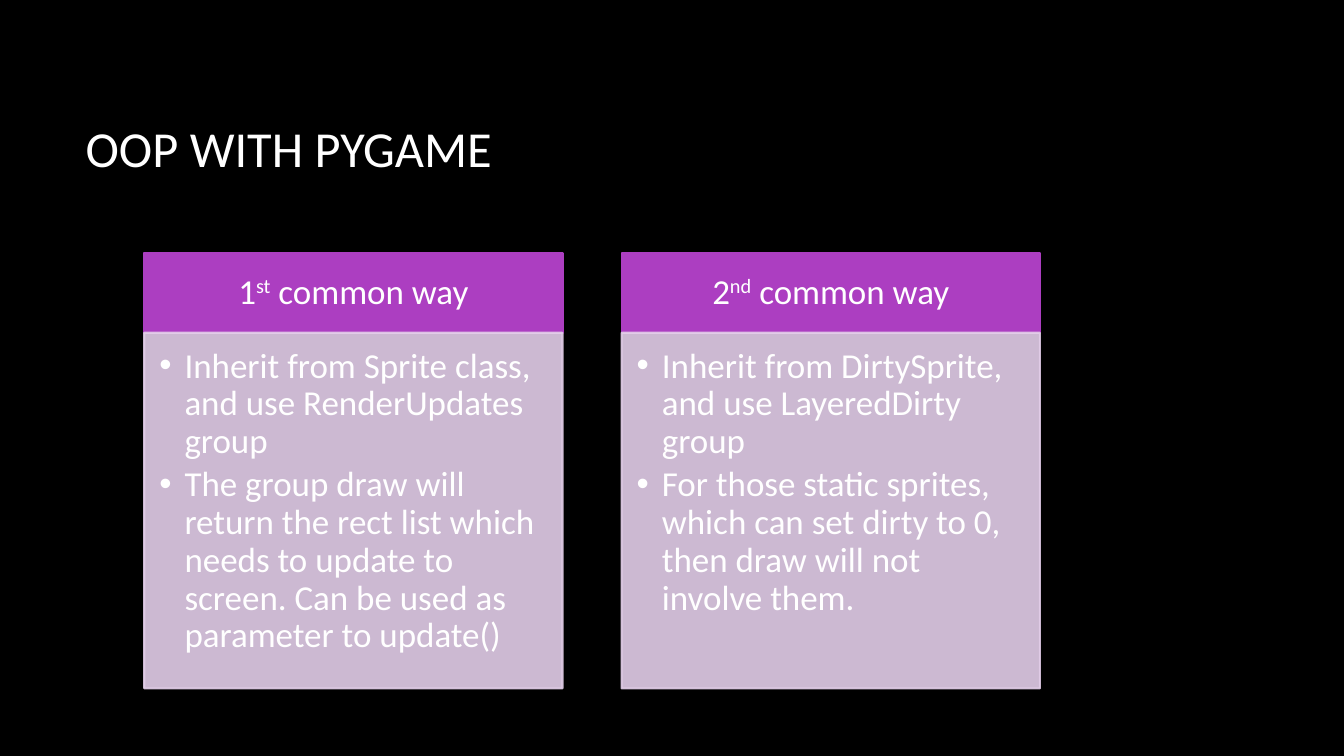
from lxml import etree
from pptx import Presentation
from pptx.dml.color import RGBColor
from pptx.enum import shapes, text
from pptx.oxml.ns import qn
from pptx.util import Pt

TITLE = "OOP WITH PYGAME"
WAYS = [
    (("1", "st", " common way"), [
        "Inherit from Sprite class, and use RenderUpdates group",
        "The group draw will return the rect list which needs to update to "
        "screen. Can be used as parameter to update()",
    ]),
    (("2", "nd", " common way"), [
        "Inherit from DirtySprite, and use LayeredDirty group",
        "For those static sprites, which can set dirty to 0, then draw will "
        "not involve them.",
    ]),
]
COLORS = {"back": "000000", "text": "FFFFFF", "head": "AC3EC1", "body": "E3CEE9"}
FONT = "Calibri"

# Layout in points
LEFT, TOP, WIDTH, STEP = 103, 180.7, 298.8, 341
HEAD_H, BODY_H = 57, 254
INDENT = 18


def color(name):
    return RGBColor.from_string(COLORS[name])


def style(para, size):
    para.font.size = Pt(size)
    para.font.name = FONT
    para.font.color.rgb = color("text")


def inset(frame, left, top, right, bottom):
    frame.margin_left, frame.margin_top = Pt(left), Pt(top)
    frame.margin_right, frame.margin_bottom = Pt(right), Pt(bottom)
    frame.word_wrap = True


def add_box(slide, x, y, h, name, alpha=None):
    box = slide.shapes.add_shape(
        shapes.MSO_SHAPE.RECTANGLE, Pt(x), Pt(y), Pt(WIDTH), Pt(h))
    box.shadow.inherit = False
    box.fill.solid()
    box.fill.fore_color.rgb = color(name)
    box.line.color.rgb = color(name)
    box.line.width = Pt(1.5)
    if alpha:
        for tone in box._element.spPr.iter(qn("a:srgbClr")):
            etree.SubElement(tone, qn("a:alpha"), val=str(alpha * 1000))
    return box


def add_head(slide, x, parts):
    frame = add_box(slide, x, TOP, HEAD_H, "head").text_frame
    inset(frame, 13.7, 7.9, 13.7, 7.9)
    frame.vertical_anchor = text.MSO_ANCHOR.MIDDLE
    para = frame.paragraphs[0]
    para.alignment = text.PP_ALIGN.CENTER
    para.line_spacing = 0.9
    style(para, 25)
    runs = [para.add_run() for _ in parts]
    for run, part in zip(runs, parts):
        run.text = part
    runs[1].font._element.set("baseline", "30000")


def add_body(slide, x, points):
    frame = add_box(slide, x, TOP + HEAD_H, BODY_H, "body", 90).text_frame
    inset(frame, 10.8, 10.8, 13.7, 15.8)
    frame.vertical_anchor = text.MSO_ANCHOR.TOP
    for i, point in enumerate(points):
        para = frame.add_paragraph() if i else frame.paragraphs[0]
        para.text = point
        para.level = 1
        para.alignment = text.PP_ALIGN.LEFT
        para.line_spacing = 0.9
        para.space_after = Pt(3.75)
        props = para._p.get_or_add_pPr()
        props.set("marL", str(Pt(INDENT)))
        props.set("indent", str(-Pt(INDENT)))
        etree.SubElement(props, qn("a:buFont"), typeface="Arial")
        etree.SubElement(props, qn("a:buChar"), char="•")
        style(para, 25)


def main():
    deck = Presentation()
    deck.slide_width, deck.slide_height = Pt(960), Pt(540)
    slide = deck.slides.add_slide(deck.slide_layouts[5])
    slide.background.fill.solid()
    slide.background.fill.fore_color.rgb = color("back")

    # Title
    title = slide.shapes.title
    title.left, title.top = Pt(54), Pt(48)
    title.width, title.height = Pt(798), Pt(114.5)
    frame = title.text_frame
    frame.text = TITLE
    frame.vertical_anchor = text.MSO_ANCHOR.MIDDLE
    frame.paragraphs[0].alignment = text.PP_ALIGN.LEFT
    style(frame.paragraphs[0], 36)

    # One column for each way
    for i, (parts, points) in enumerate(WAYS):
        x = LEFT + i * STEP
        add_head(slide, x, parts)
        add_body(slide, x, points)

    deck.save("out.pptx")


if __name__ == "__main__":
    main()
